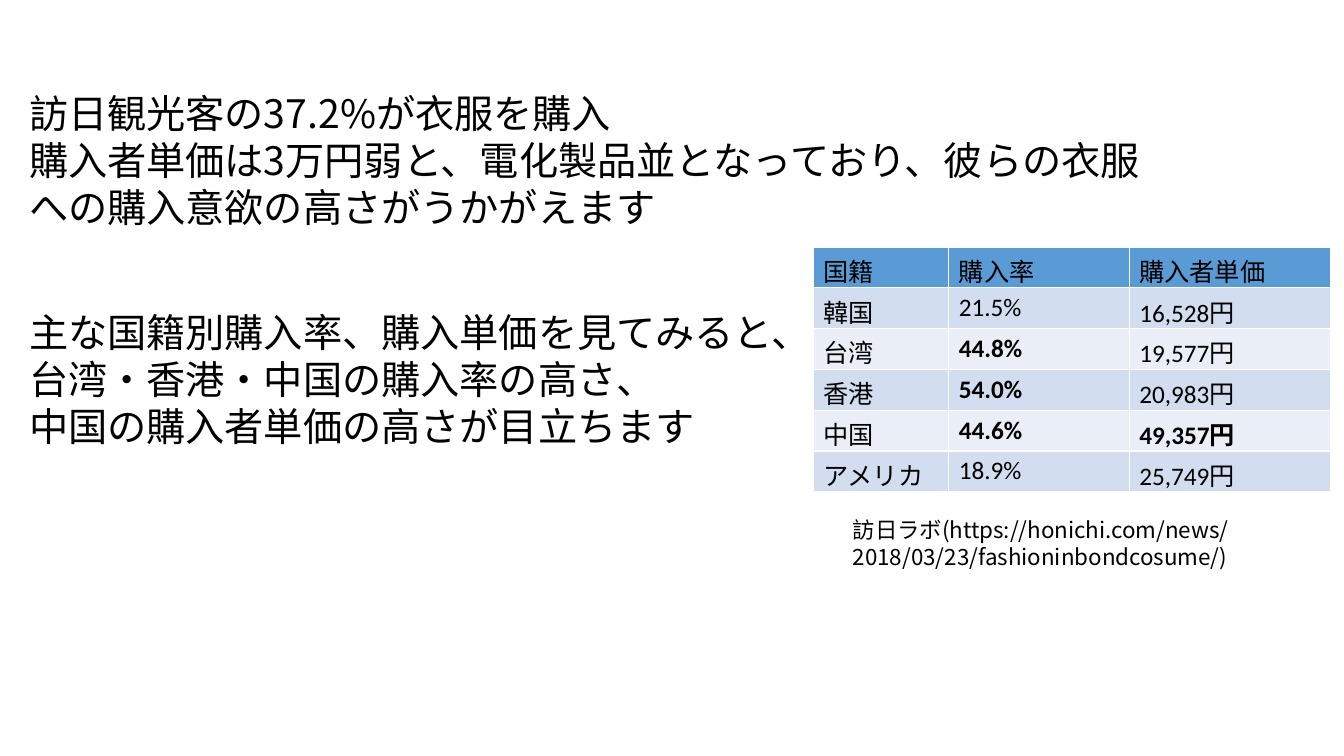
"""Slide on clothing purchases by visitors to Japan, with a table by nationality."""
import pptx
import pptx.dml.color
import pptx.oxml
import pptx.oxml.ns
import pptx.util

Inches = pptx.util.Inches
BLACK = pptx.dml.color.RGBColor(0x00, 0x00, 0x00)
HEADER_BLUE = pptx.dml.color.RGBColor(0x5B, 0x9B, 0xD5)
BAND_DARK = pptx.dml.color.RGBColor(0xD2, 0xDE, 0xEF)
BAND_LIGHT = pptx.dml.color.RGBColor(0xEA, 0xEF, 0xF7)
JAPANESE_FONT = "Noto Sans CJK JP"


def style_paragraph(paragraph, size, latin_font, bold=False):
    font = paragraph.font
    font.size = pptx.util.Pt(size)
    font.bold = bold
    font.color.rgb = BLACK
    font.name = latin_font
    east_asian = pptx.oxml.parse_xml(
        f'<a:ea {pptx.oxml.ns.nsdecls("a")} typeface="{JAPANESE_FONT}"/>')
    paragraph._p.pPr.find(pptx.oxml.ns.qn("a:defRPr")).append(east_asian)


presentation = pptx.Presentation()
presentation.slide_width = Inches(13.33)
presentation.slide_height = Inches(7.5)
slide = presentation.slides.add_slide(presentation.slide_layouts[6])

passages = [
    (0.19, 0.84, 11.27, 2.42, 28, [
        "訪日観光客の37.2%が衣服を購入",
        "購入者単価は3万円弱と、電化製品並となっており、彼らの衣服への購入意欲の高さがうかがえます"]),
    (0.19, 3.01, 7.77, 2.46, 28, [
        "主な国籍別購入率、購入単価を見てみると、台湾・香港・中国の購入率の高さ、",
        "中国の購入者単価の高さが目立ちます"]),
    (8.36, 5.07, 4.54, 0.91, 16, [
        "訪日ラボ(https://honichi.com/news/2018/03/23/fashioninbondcosume/)"]),
]
for left, top, width, height, size, sentences in passages:
    passage = slide.shapes.add_textbox(
        Inches(left), Inches(top), Inches(width), Inches(height)).text_frame
    passage.word_wrap = True
    passage.text = "\n".join(sentences)
    for paragraph in passage.paragraphs:
        style_paragraph(paragraph, size, JAPANESE_FONT)

purchases = [
    ("国籍", "購入率", "購入者単価"),
    ("韓国", "21.5%", "16,528円"),
    ("台湾", "44.8%", "19,577円"),
    ("香港", "54.0%", "20,983円"),
    ("中国", "44.6%", "49,357円"),
    ("アメリカ", "18.9%", "25,749円"),
]
highlights = {"44.8%", "54.0%", "44.6%", "49,357円"}
column_widths = [1.34, 1.79, 2]
row_height = 0.405
purchase_table = slide.shapes.add_table(
    len(purchases), len(column_widths), Inches(8.07), Inches(2.45),
    Inches(sum(column_widths)), Inches(row_height * len(purchases))).table
for column, width in zip(purchase_table.columns, column_widths):
    column.width = Inches(width)

for row_index, values in enumerate(purchases):
    band = BAND_DARK if row_index % 2 else BAND_LIGHT
    for column_index, value in enumerate(values):
        cell = purchase_table.cell(row_index, column_index)
        cell.fill.solid()
        cell.fill.fore_color.rgb = band if row_index else HEADER_BLUE
        cell.text = value
        style_paragraph(cell.text_frame.paragraphs[0], 18, "Calibri", value in highlights)

presentation.save("out.pptx")
